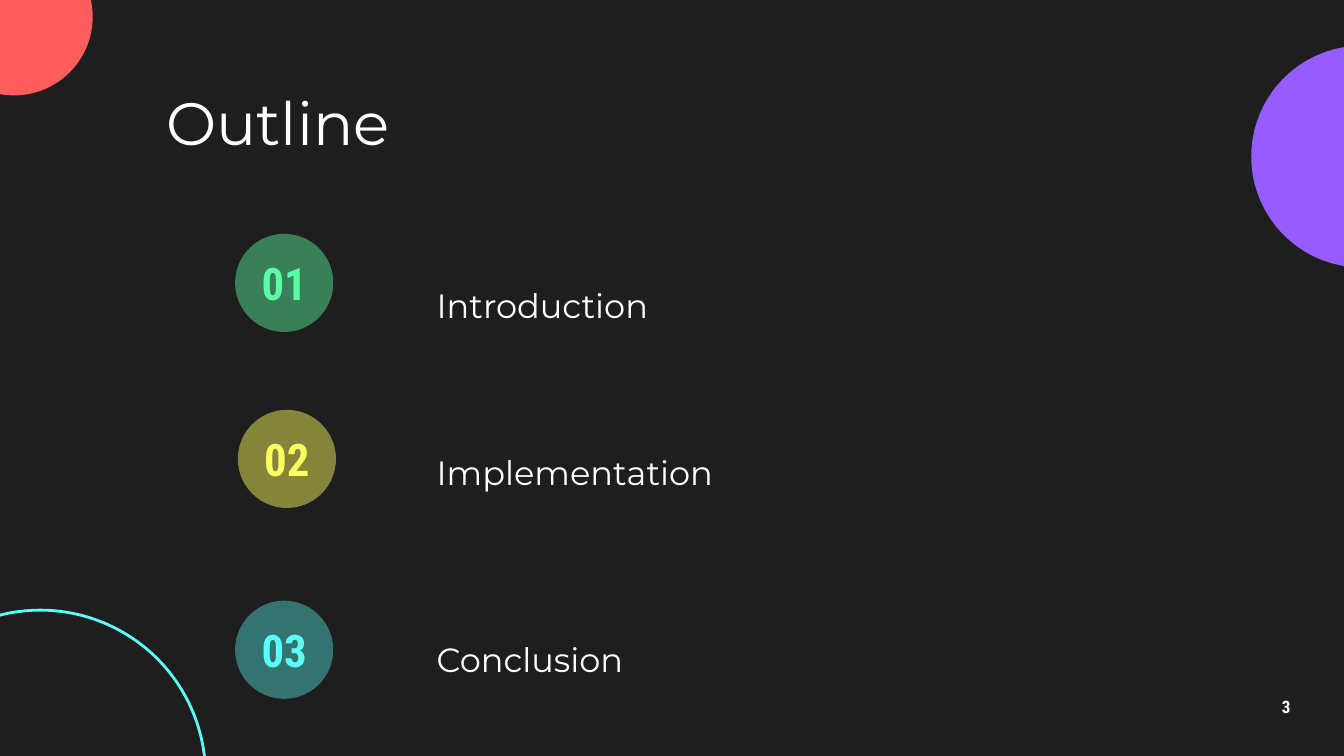
import pptx
import pptx.util
import pptx.dml.color
import pptx.enum.shapes
import pptx.enum.text
import pptx.oxml.ns
import lxml.etree

RGBColor = pptx.dml.color.RGBColor
Inches = pptx.util.Inches
Pt = pptx.util.Pt
PP_ALIGN = pptx.enum.text.PP_ALIGN

DARK = RGBColor(0x1E, 0x1E, 0x1E)
WHITE = RGBColor(0xFF, 0xFF, 0xFF)
PURPLE = RGBColor(0x95, 0x5C, 0xFF)
RED = RGBColor(0xFF, 0x5C, 0x5C)
CYAN = RGBColor(0x5C, 0xFF, 0xF8)
YELLOW = RGBColor(0xFD, 0xFF, 0x5C)
GREEN = RGBColor(0x5C, 0xFF, 0xA6)

BODY_FONT = "Montserrat"
NUMBER_FONT = "Roboto Condensed"

TITLE = "Outline"
PAGE = "3"
DISCS = [(9.31, 0.34, 1.65, PURPLE), (-0.48, -0.46, 1.17, RED)]
RING = (-0.93, 4.54, 2.46, CYAN)
SECTIONS = [
    {"name": "Introduction", "color": GREEN, "alpha": 44,
     "badge": (1.75, 1.74), "label": (1.97, 1.97, 0.6)},
    {"name": "Implementation", "color": YELLOW, "alpha": 46,
     "badge": (1.77, 3.05), "label": (3.06, 2.67, 0.91)},
    {"name": "Conclusion", "color": CYAN, "alpha": 38,
     "badge": (1.75, 4.47), "label": (4.54, 1.97, 0.73)},
]
BADGE = 0.73
NUMBER_HEIGHT = 0.5
LABEL_LEFT = 3.15


def add_circle(slide, left, top, size, fill=None, alpha=None, line=None):
    sp = slide.shapes.add_shape(
        pptx.enum.shapes.MSO_SHAPE.OVAL,
        Inches(left), Inches(top), Inches(size), Inches(size))
    sp.shadow.inherit = False
    if fill is None:
        sp.fill.background()
    else:
        sp.fill.solid()
        sp.fill.fore_color.rgb = fill
    if alpha is not None:
        clr = sp.element.spPr.find(".//" + pptx.oxml.ns.qn("a:srgbClr"))
        node = lxml.etree.SubElement(clr, pptx.oxml.ns.qn("a:alpha"))
        node.set("val", str(alpha * 1000))
    if line is None:
        sp.line.fill.background()
    else:
        sp.line.color.rgb = line
        sp.line.width = Pt(1.5)


def add_text(slide, box, text, size, font=BODY_FONT, color=WHITE,
             bold=False, align=PP_ALIGN.LEFT, spacing=None):
    tf = slide.shapes.add_textbox(*map(Inches, box)).text_frame
    tf.word_wrap = True
    tf.vertical_anchor = pptx.enum.text.MSO_ANCHOR.MIDDLE
    tf.margin_left = tf.margin_right = Inches(0.1)
    tf.margin_top = tf.margin_bottom = Inches(0.1)
    p = tf.paragraphs[0]
    p.text = text
    p.alignment = align
    p.line_spacing = spacing
    p.font.size = Pt(size)
    p.font.name = font
    p.font.bold = bold
    p.font.color.rgb = color


def main():
    prs = pptx.Presentation()
    prs.slide_width = Inches(10)
    prs.slide_height = prs.slide_width * 9 // 16
    slide = prs.slides.add_slide(prs.slide_layouts[6])
    slide.background.fill.solid()
    slide.background.fill.fore_color.rgb = DARK

    for left, top, size, color in DISCS:
        add_circle(slide, left, top, size, fill=color)
    left, top, size, color = RING
    add_circle(slide, left, top, size, line=color)

    add_text(slide, (1.14, 0.65, 8.44, 0.51), TITLE, 32)

    for number, section in enumerate(SECTIONS, 1):
        left, top = section["badge"]
        add_circle(slide, left, top, BADGE, section["color"], section["alpha"])
        number_top = top + (BADGE - NUMBER_HEIGHT) / 2
        add_text(slide, (left, number_top, BADGE, NUMBER_HEIGHT),
                 f"{number:02d}", 24, NUMBER_FONT, section["color"],
                 True, PP_ALIGN.CENTER)
        label_top, width, height = section["label"]
        add_text(slide, (LABEL_LEFT, label_top, width, height),
                 section["name"], 18)

    add_text(slide, (9.27, 5.1, 0.6, 0.34), PAGE, 9.2, NUMBER_FONT,
             bold=True, align=PP_ALIGN.CENTER, spacing=0.9)
    prs.save("out.pptx")


if __name__ == "__main__":
    main()
